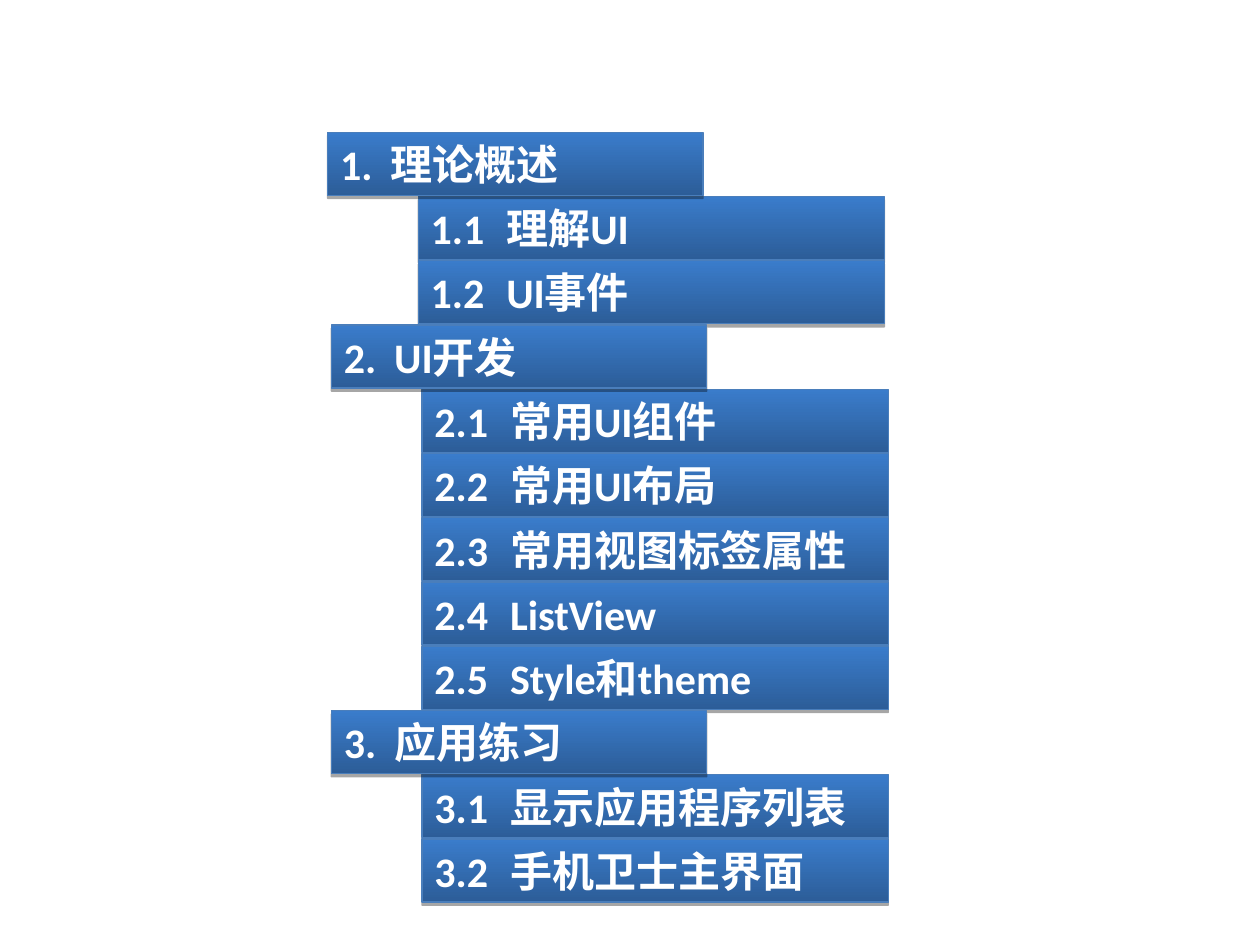
from dataclasses import dataclass

from lxml.etree import SubElement
from pptx import Presentation
from pptx.dml.color import RGBColor
from pptx.enum.shapes import MSO_SHAPE
from pptx.enum.text import MSO_ANCHOR, PP_ALIGN
from pptx.oxml.ns import qn
from pptx.util import Inches, Pt

# Left edge of the section, its heading, its entries
SECTIONS = [
    (2.60, ("1.", "理论概述"), [("1.1", "理解UI"), ("1.2", "UI事件")]),
    (2.63, ("2.", "UI开发"), [
        ("2.1", "常用UI组件"),
        ("2.2", "常用UI布局"),
        ("2.3", "常用视图标签属性"),
        ("2.4", "ListView"),
        ("2.5", "Style和theme"),
    ]),
    (2.63, ("3.", "应用练习"), [("3.1", "显示应用程序列表"), ("3.2", "手机卫士主界面")]),
]

FIRST_TOP, ROW_PITCH, BAR_HEIGHT = 1.05, 0.51, 0.5
ENTRY_INDENT = 0.72
HEADING_WIDTH, ENTRY_WIDTH = 2.98, 3.7
HEADING_TAB, ENTRY_TAB = 0.4, 0.6


@dataclass(frozen=True)
class Theme:
    font: str = "Calibri"
    size: int = 24
    text: str = "FFFFFF"
    bar_bottom: str = "2C5D98"
    bar_top: str = "3A7CCB"
    border: str = "4A7EBB"
    border_width: float = 0.75
    shadow: str = "000000"


THEME = Theme()


def add_drop_shadow(shape):
    shape.shadow.inherit = False
    effects = shape._element.spPr.find(qn("a:effectLst"))
    shadow = SubElement(effects, qn("a:outerShdw"), blurRad="0",
                        dist=str(Pt(1.8)), dir="5400000", rotWithShape="0")
    color = SubElement(shadow, qn("a:srgbClr"), val=THEME.shadow)
    SubElement(color, qn("a:alpha"), val="35000")


def add_tab_stop(paragraph, position):
    tabs = SubElement(paragraph._p.get_or_add_pPr(), qn("a:tabLst"))
    SubElement(tabs, qn("a:tab"), pos=str(Inches(position)), algn="l")


def add_bar(slide, left, top, width, tab, label):
    shape = slide.shapes.add_shape(
        MSO_SHAPE.RECTANGLE, Inches(left), Inches(top), Inches(width), Inches(BAR_HEIGHT))
    shape.fill.gradient()
    shape.fill.gradient_angle = 90
    for stop, color in zip(shape.fill.gradient_stops, (THEME.bar_bottom, THEME.bar_top)):
        stop.color.rgb = RGBColor.from_string(color)
    shape.line.color.rgb = RGBColor.from_string(THEME.border)
    shape.line.width = Pt(THEME.border_width)
    add_drop_shadow(shape)

    text_frame = shape.text_frame
    text_frame.word_wrap = True
    text_frame.vertical_anchor = MSO_ANCHOR.TOP
    text_frame.text = "\t".join(label)
    paragraph = text_frame.paragraphs[0]
    paragraph.alignment = PP_ALIGN.LEFT
    add_tab_stop(paragraph, tab)
    font = paragraph.runs[0].font
    font.name, font.size, font.bold = THEME.font, Pt(THEME.size), True
    font.color.rgb = RGBColor.from_string(THEME.text)


def add_outline(slide):
    """Stack the sections; each heading is drawn after its entries to lie on top."""
    top = FIRST_TOP
    for left, heading, entries in SECTIONS:
        for row, entry in enumerate(entries, start=1):
            add_bar(slide, left + ENTRY_INDENT, top + row * ROW_PITCH,
                    ENTRY_WIDTH, ENTRY_TAB, entry)
        add_bar(slide, left, top, HEADING_WIDTH, HEADING_TAB, heading)
        top += (len(entries) + 1) * ROW_PITCH


def main():
    presentation = Presentation()
    presentation.slide_width, presentation.slide_height = Inches(10), Inches(7.5)
    slide = presentation.slides.add_slide(presentation.slide_layouts[6])
    add_outline(slide)
    presentation.save("out.pptx")


if __name__ == "__main__":
    main()
